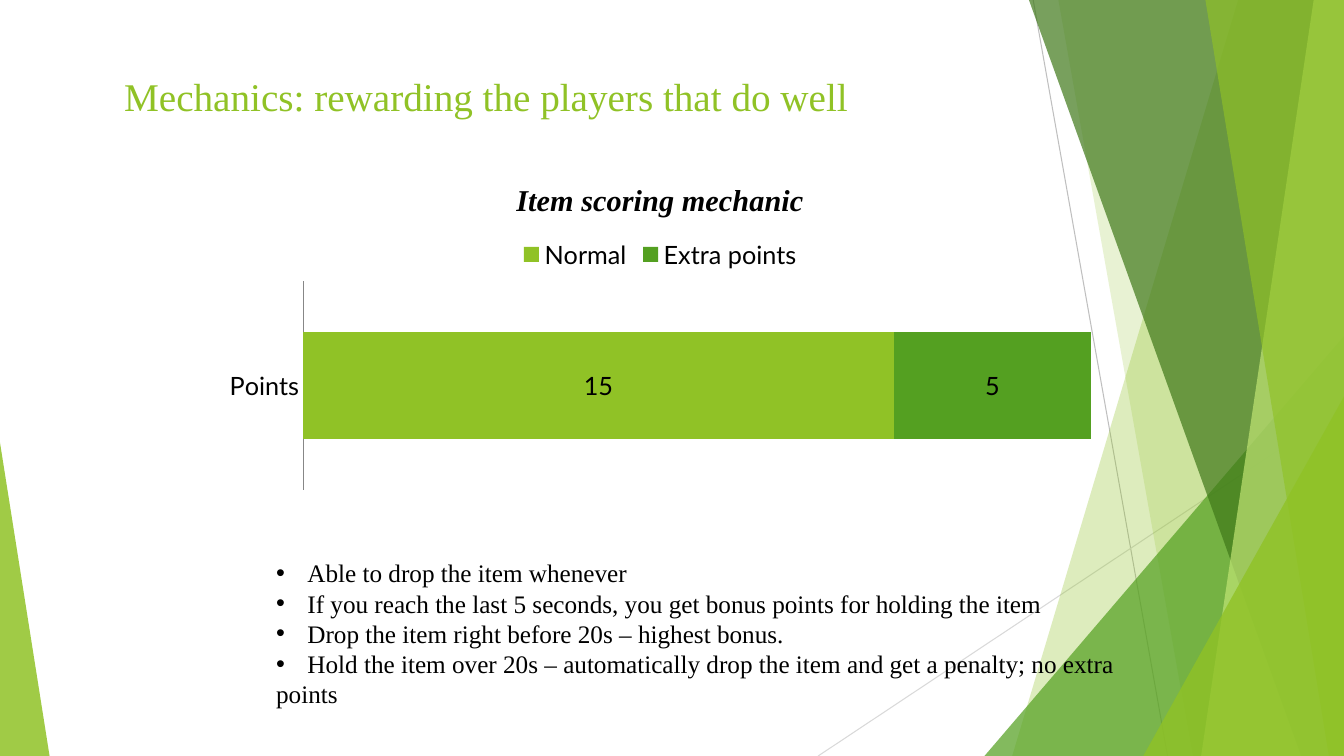
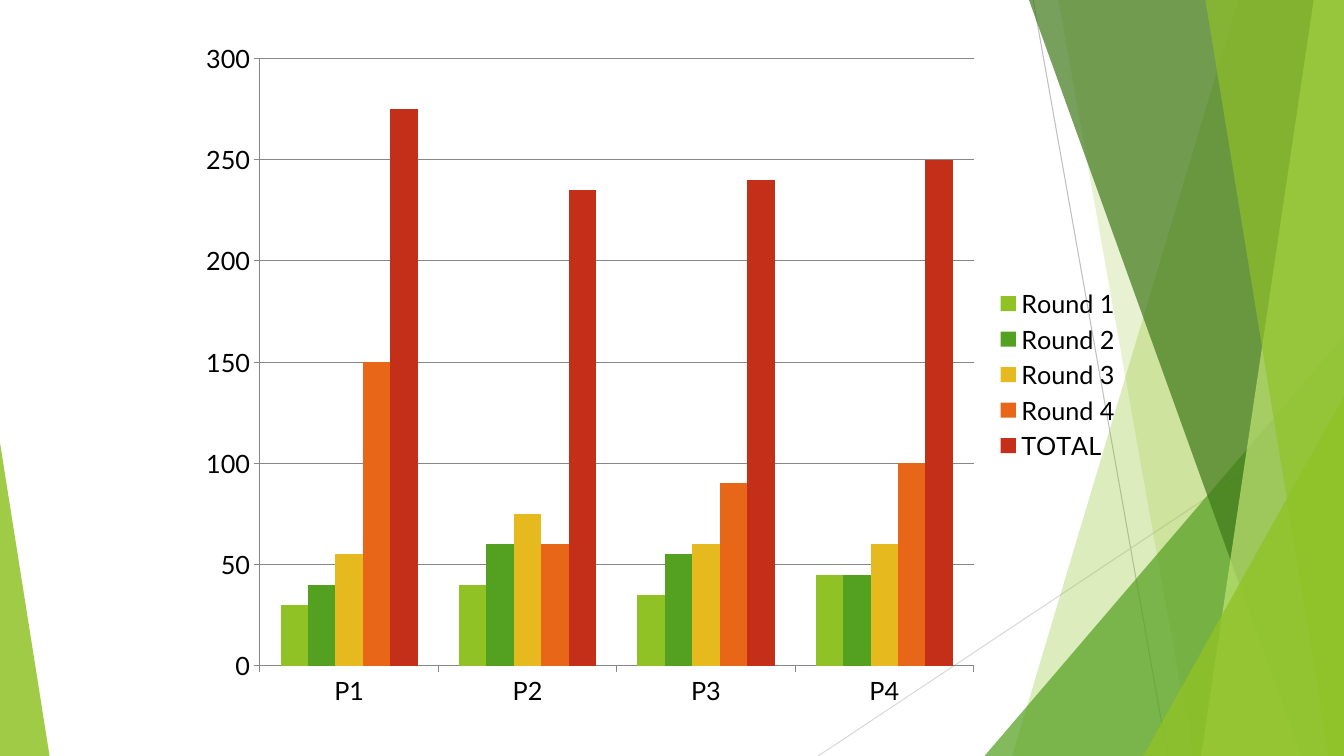
import pptx
import pptx.chart.data
import pptx.dml.color
import pptx.enum.chart
import pptx.enum.shapes
import pptx.enum.text
import pptx.oxml
import pptx.oxml.ns
import pptx.util

RGBColor = pptx.dml.color.RGBColor
LIME = RGBColor(0x90, 0xC2, 0x26)
GREEN = RGBColor(0x54, 0xA0, 0x21)
FOREST = RGBColor(0x3F, 0x78, 0x19)
PALE_LIME = RGBColor(0xC0, 0xE4, 0x74)
GOLD = RGBColor(0xE6, 0xB9, 0x1E)
ORANGE = RGBColor(0xE7, 0x66, 0x18)
RED = RGBColor(0xC4, 0x2F, 0x1A)
BLACK = RGBColor(0, 0, 0)
AXIS_GRAY = RGBColor(0x87, 0x87, 0x87)
MID_GRAY = RGBColor(0xBF, 0xBF, 0xBF)
LIGHT_GRAY = RGBColor(0xD9, 0xD9, 0xD9)

COLUMNS, ROWS = 160, 90
CELL = pptx.util.Inches(7.5) / ROWS

SERIF = "Times New Roman"
TITLE_FORMAT = {"name": SERIF, "size": pptx.util.Pt(28)}
BODY_FORMAT = {"name": SERIF, "size": pptx.util.Pt(18)}
CHART_FORMAT = {"name": "Lato", "size": pptx.util.Pt(18)}
CHART_TITLE_FORMAT = {"name": SERIF, "size": pptx.util.Pt(21.6), "bold": True, "italic": True}

Tick = pptx.enum.chart.XL_TICK_MARK
Legend = pptx.enum.chart.XL_LEGEND_POSITION
ChartType = pptx.enum.chart.XL_CHART_TYPE


def cells(*counts):
    return [round(count * CELL) for count in counts]


def set_format(target, formats):
    for name, value in formats.items():
        setattr(target, name, value)


def style_font(font, formats, color):
    set_format(font, formats)
    font.color.rgb = color


def add_element(parent, tag, **attributes):
    element = pptx.oxml.parse_xml(f"<a:{tag} {pptx.oxml.ns.nsdecls('a')}/>")
    for name, value in attributes.items():
        element.set(name, str(value))
    parent.append(element)


def tint(shape, color, opacity):
    shape.shadow.inherit = False
    shape.line.fill.background()
    shape.fill.solid()
    shape.fill.fore_color.rgb = color
    fill_color = shape._element.spPr.find(".//" + pptx.oxml.ns.qn("a:srgbClr"))
    add_element(fill_color, "alpha", val=opacity * 1000)


def add_hairline(slide, start, end, color):
    line = slide.shapes.add_connector(
        pptx.enum.shapes.MSO_CONNECTOR.STRAIGHT, *cells(*start, *end))
    line.line.color.rgb = color
    line.line.width = pptx.util.Pt(0.75)
    add_element(line._element.spPr, "effectLst")


def add_band(slide, top_column, bottom_column, color, opacity):
    corners = [(COLUMNS, 0), (COLUMNS, ROWS), (bottom_column, ROWS)]
    builder = slide.shapes.build_freeform(*cells(top_column, 0))
    builder.add_line_segments([cells(*corner) for corner in corners], close=True)
    tint(builder.convert_to_shape(), color, opacity)


def add_wedge(slide, left, right, top, apex, color, opacity):
    wedge = slide.shapes.add_shape(
        pptx.enum.shapes.MSO_SHAPE.ISOSCELES_TRIANGLE,
        *cells(left, top, right - left, ROWS - top))
    wedge.adjustments[0] = apex
    tint(wedge, color, opacity)


def add_backdrop(slide):
    add_hairline(slide, (123, 0), (139, ROWS), MID_GRAY)
    add_hairline(slide, (COLUMNS, 48.4), (97.4, ROWS), LIGHT_GRAY)
    add_band(slide, 147.4, 120.5, LIME, 30)
    add_band(slide, 126, 142, LIME, 20)
    add_wedge(slide, 117.2, COLUMNS, 40, 1, GREEN, 72)
    add_band(slide, 122.5, 154.9, FOREST, 70)
    add_band(slide, 156.4, 143, PALE_LIME, 70)
    add_band(slide, 143.5, 158.2, LIME, 65)
    add_wedge(slide, 136.1, COLUMNS, 47.2, 1, LIME, 80)
    add_wedge(slide, 0, 5.9, 52.7, 0, LIME, 85)


def add_slide(deck):
    slide = deck.slides.add_slide(deck.slide_layouts[6])
    add_backdrop(slide)
    return slide


def add_text_frame(slide, area):
    frame = slide.shapes.add_textbox(*cells(*area)).text_frame
    set_format(frame, {"word_wrap": True,
                       "vertical_anchor": pptx.enum.text.MSO_ANCHOR.TOP})
    return frame


def add_span(para, text, formats, color):
    span = para.add_run()
    span.text = text
    style_font(span.font, formats, color)


def add_title(slide, text):
    frame = add_text_frame(slide, (8.9, 8, 112.8, 17.3))
    frame.margin_left = pptx.util.Inches(0.49)
    add_span(frame.paragraphs[0], text, TITLE_FORMAT, LIME)


def add_bullets(slide, area, items, closing):
    frame = add_text_frame(slide, area)
    indent = pptx.util.Inches(0.31)
    for index, text in enumerate([*items, closing]):
        para = frame.add_paragraph() if index else frame.paragraphs[0]
        if index < len(items):
            properties = para._p.get_or_add_pPr()
            properties.set("marL", str(indent))
            properties.set("indent", str(-indent))
            add_element(properties, "buFont", typeface="Arial")
            add_element(properties, "buChar", char="•")
        para.line_spacing = pptx.util.Pt(21.6)
        add_span(para, text, BODY_FORMAT, BLACK)


def style_axis_line(line):
    line.color.rgb = AXIS_GRAY
    line.width = pptx.util.Pt(0.75)


def add_chart(slide, area, kind, categories, series, legend, plot_format, tick):
    data = pptx.chart.data.CategoryChartData()
    data.categories = categories
    for name, values, _ in series:
        data.add_series(name, values)
    chart = slide.shapes.add_chart(kind, *cells(*area), data).chart
    style_font(chart.font, CHART_FORMAT, BLACK)
    set_format(chart, {"has_title": False, "has_legend": True})
    set_format(chart.legend, {"position": legend, "include_in_layout": False})
    plot = chart.plots[0]
    set_format(plot, {"vary_by_categories": False, **plot_format})
    for drawn, (_, _, color) in zip(plot.series, series):
        drawn.format.fill.solid()
        drawn.format.fill.fore_color.rgb = color
    for axis in (chart.category_axis, chart.value_axis):
        set_format(axis, {"major_tick_mark": tick, "minor_tick_mark": Tick.NONE})
        style_axis_line(axis.format.line)
    return chart


def add_scoring_chart(slide):
    chart = add_chart(
        slide, (25.2, 19.4, 106.8, 39.7), ChartType.BAR_STACKED_100, ["Points"],
        [("Normal", [15], LIME), ("Extra points", [5], GREEN)],
        Legend.TOP, {"gap_width": 95, "overlap": 100, "has_data_labels": True}, Tick.NONE)
    chart.plots[0].data_labels.show_value = True
    set_format(chart.value_axis, {"visible": False, "has_major_gridlines": False})
    chart.has_title = True
    chart.chart_title.include_in_layout = False
    add_span(chart.chart_title.text_frame.paragraphs[0],
             "Item scoring mechanic", CHART_TITLE_FORMAT, BLACK)


def add_rounds_chart(slide):
    rounds = [
        ("Round 1", [30, 40, 35, 45], LIME),
        ("Round 2", [40, 60, 55, 45], GREEN),
        ("Round 3", [55, 75, 60, 60], GOLD),
        ("Round 4", [150, 60, 90, 100], ORANGE),
    ]
    totals = [sum(scores) for scores in zip(*(values for _, values, _ in rounds))]
    chart = add_chart(
        slide, (22.3, 3.5, 112.4, 82.2), ChartType.COLUMN_CLUSTERED,
        ["P1", "P2", "P3", "P4"], [*rounds, ("TOTAL", totals, RED)],
        Legend.RIGHT, {"gap_width": 150, "overlap": 0}, Tick.OUTSIDE)
    set_format(chart.value_axis, {"minimum_scale": 0, "maximum_scale": 300,
                                  "major_unit": 50, "has_major_gridlines": True})
    style_axis_line(chart.value_axis.major_gridlines.format.line)


def main():
    deck = pptx.Presentation()
    deck.slide_width, deck.slide_height = cells(COLUMNS, ROWS)

    scoring = add_slide(deck)
    add_title(scoring, "Mechanics: rewarding the players that do well")
    add_scoring_chart(scoring)
    add_bullets(scoring, (31.7, 65.8, 103.2, 19.4), [
        "Able to drop the item whenever",
        "If you reach the last 5 seconds, you get bonus points for holding the item",
        "Drop the item right before 20s – highest bonus.",
        "Hold the item over 20s – automatically drop the item and get a penalty; no extra",
    ], "points")

    add_rounds_chart(add_slide(deck))
    deck.save("out.pptx")


if __name__ == "__main__":
    main()
